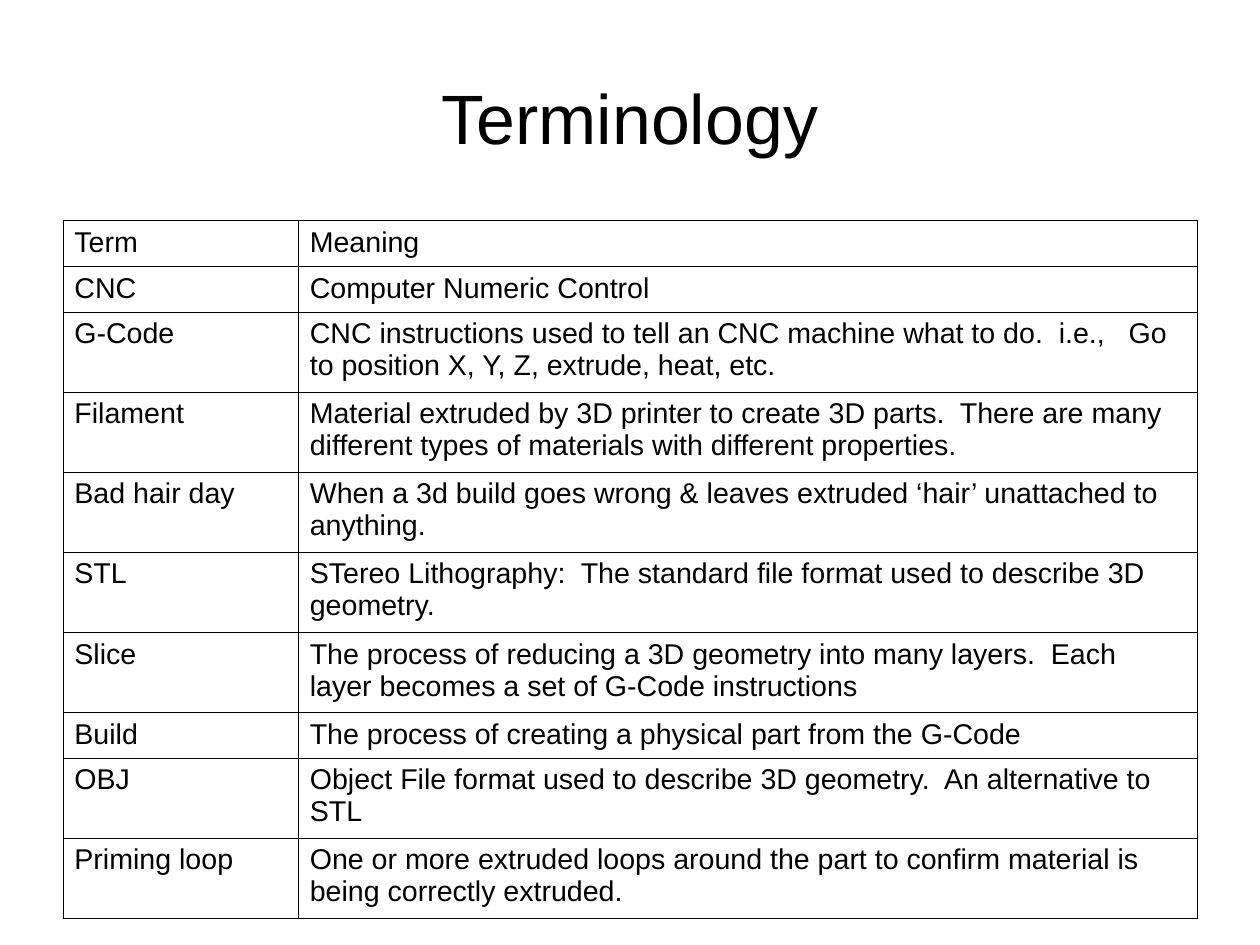
from dataclasses import dataclass

from lxml.etree import SubElement
from pptx import Presentation
from pptx.dml.color import RGBColor
from pptx.enum.text import MSO_ANCHOR, PP_ALIGN
from pptx.oxml.ns import qn
from pptx.slide import Slide
from pptx.table import _Cell
from pptx.text.text import _Paragraph
from pptx.util import Emu, Inches, Pt

BLACK = RGBColor(0x00, 0x00, 0x00)
FONT = "Arial"
SLIDE_WIDTH, SLIDE_HEIGHT = Emu(10080625), Emu(7559675)
MARGIN = round(SLIDE_WIDTH * 0.05)
CONTENT_WIDTH = round(SLIDE_WIDTH * 0.9)
TERM_WIDTH = Inches(2.06)
BORDER_WIDTH = Pt(0.57)
ROW_PADDING, LINE_HEIGHT = Inches(0.1), Inches(0.3)


@dataclass(frozen=True)
class Entry:
    term: str
    meaning: str
    lines: int = 2


GLOSSARY = [
    Entry("Term", "Meaning", 1),
    Entry("CNC", "Computer Numeric Control", 1),
    Entry("G-Code", "CNC instructions used to tell an CNC machine what to do.  i.e.,   Go to position X, Y, Z, extrude, heat, etc."),
    Entry("Filament", "Material extruded by 3D printer to create 3D parts.  There are many different types of materials with different properties."),
    Entry("Bad hair day", "When a 3d build goes wrong & leaves extruded ‘hair’ unattached to anything."),
    Entry("STL", "STereo Lithography:  The standard file format used to describe 3D geometry."),
    Entry("Slice", "The process of reducing a 3D geometry into many layers.  Each layer becomes a set of G-Code instructions"),
    Entry("Build", "The process of creating a physical part from the G-Code", 1),
    Entry("OBJ", "Object File format used to describe 3D geometry.  An alternative to STL"),
    Entry("Priming loop", "One or more extruded loops around the part to confirm material is being correctly extruded."),
]


def add_text(paragraph: _Paragraph, text: str, size: int) -> None:
    run = paragraph.add_run()
    run.text = text
    run.font.name = FONT
    run.font.size = Pt(size)
    run.font.bold = False
    run.font.color.rgb = BLACK


def add_borders(cell: _Cell) -> None:
    properties = cell._tc.get_or_add_tcPr()
    for side in ("lnL", "lnR", "lnT", "lnB"):
        border = SubElement(properties, qn(f"a:{side}"), w=str(BORDER_WIDTH))
        fill = SubElement(border, qn("a:solidFill"))
        SubElement(fill, qn("a:srgbClr"), val=str(BLACK))


def fill_cell(cell: _Cell, text: str) -> None:
    cell.margin_left = cell.margin_right = Inches(0.1)
    cell.margin_top = cell.margin_bottom = Inches(0.05)
    add_borders(cell)
    cell.fill.background()
    add_text(cell.text_frame.paragraphs[0], text, 18)


def add_title(slide: Slide, text: str) -> None:
    heading = slide.shapes.add_textbox(
        MARGIN, round(SLIDE_HEIGHT * 0.04), CONTENT_WIDTH, Inches(1.38)
    ).text_frame
    heading.word_wrap = True
    heading.vertical_anchor = MSO_ANCHOR.MIDDLE
    heading.margin_left = heading.margin_right = 0
    heading.margin_top = heading.margin_bottom = 0
    heading.paragraphs[0].alignment = PP_ALIGN.CENTER
    add_text(heading.paragraphs[0], text, 44)


def add_glossary(slide: Slide, entries: list[Entry]) -> None:
    heights = [ROW_PADDING + entry.lines * LINE_HEIGHT for entry in entries]
    glossary = slide.shapes.add_table(
        len(entries), 2, MARGIN, Inches(1.93), CONTENT_WIDTH, sum(heights)
    ).table
    glossary.first_row = glossary.horz_banding = False
    glossary.columns[0].width = TERM_WIDTH
    glossary.columns[1].width = CONTENT_WIDTH - TERM_WIDTH
    for index, (entry, height) in enumerate(zip(entries, heights)):
        glossary.rows[index].height = height
        fill_cell(glossary.cell(index, 0), entry.term)
        fill_cell(glossary.cell(index, 1), entry.meaning)


def main() -> None:
    presentation = Presentation()
    presentation.slide_width = SLIDE_WIDTH
    presentation.slide_height = SLIDE_HEIGHT
    slide = presentation.slides.add_slide(presentation.slide_layouts[6])
    add_title(slide, "Terminology")
    add_glossary(slide, GLOSSARY)
    presentation.save("out.pptx")


if __name__ == "__main__":
    main()
